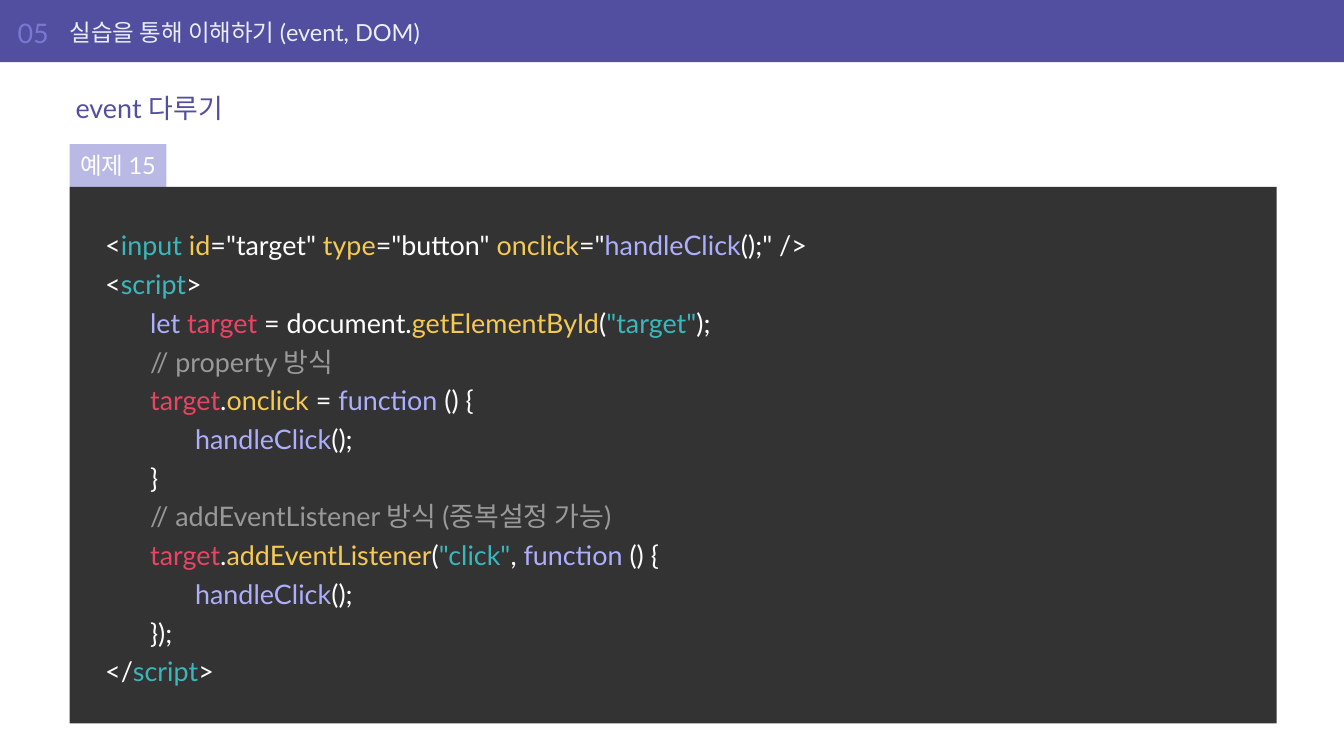
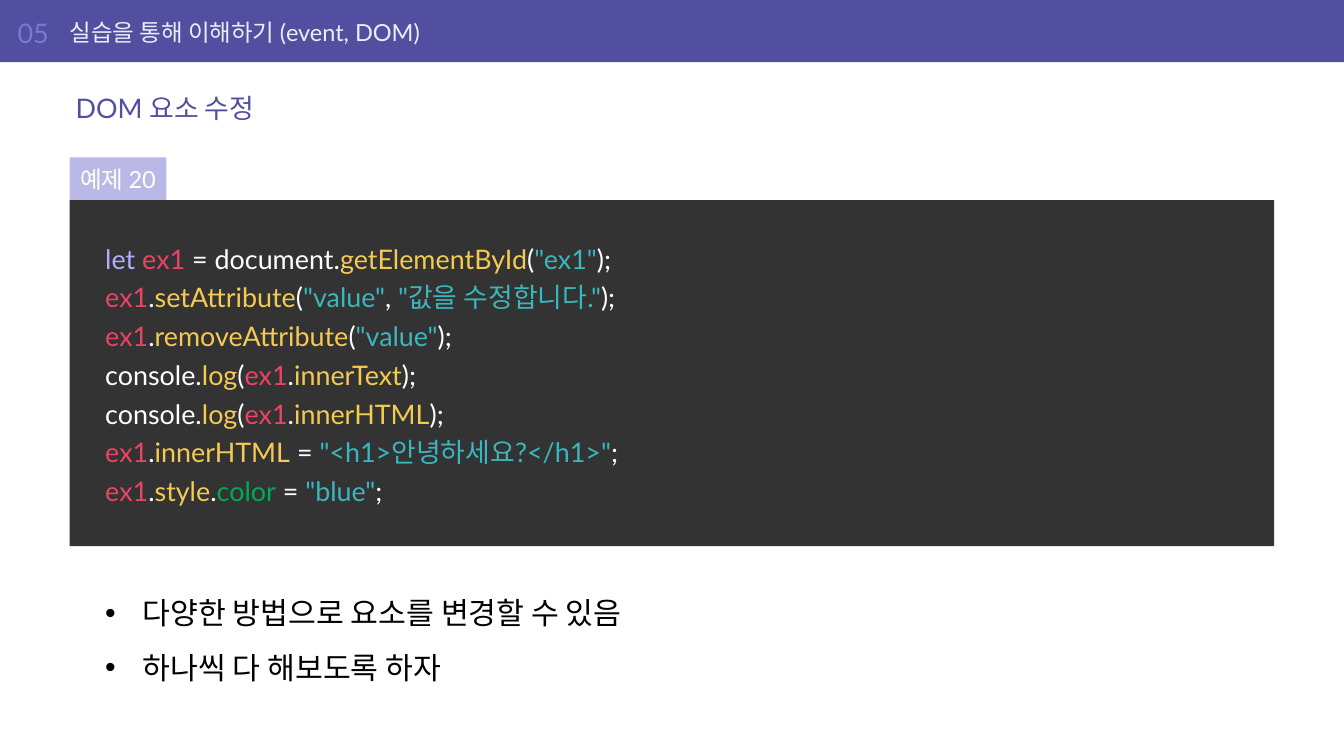
from dataclasses import dataclass
from typing import NamedTuple

import lxml.etree
import pptx
import pptx.dml.color
import pptx.enum.shapes
import pptx.enum.text
import pptx.oxml.ns
import pptx.util

Pt = pptx.util.Pt
Align = pptx.enum.text.PP_ALIGN
Anchor = pptx.enum.text.MSO_ANCHOR

FONT = "Lato"
COLORS = {
    "band": "524FA1",
    "number": "7979D3",
    "section": "ECEEF6",
    "heading": "524FA1",
    "tag": "BAB9E6",
    "code": "333333",
    "plain": "FFFFFF",
    "string": "3AB7BC",
    "member": "F5CA52",
    "keyword": "AEAEFF",
    "variable": "EA4464",
    "comment": "999999",
    "style": "00AB53",
    "bullet": "000000",
}
SLIDE_WIDTH, SLIDE_HEIGHT = 1600, 900
MARGIN = 82.8
TAG_HEIGHT = 51
TAB_STEP = 53.5
BULLET_INDENT = 44.6


class Box(NamedTuple):
    left: float
    top: float
    width: float
    height: float


class Insets(NamedTuple):
    left: float = 7.2
    top: float = 3.6
    right: float = 7.2
    bottom: float = 3.6


class Token(NamedTuple):
    text: str
    role: str = "plain"


@dataclass(frozen=True)
class Lesson:
    heading: str
    example: str
    code_box: Box
    code: list[list[Token]]
    points: tuple[str, ...] = ()


BAND = Box(0, 0, SLIDE_WIDTH, 74)
NUMBER_BOX = Box(21, 10.8, 62, 55.4)
SECTION_BOX = Box(MARGIN, 10.8, 1352, 55.4)
HEADING_BOX = Box(MARGIN, 100.8, 1434, 55.4)
POINTS_BOX = Box(118, 682.6, 1373, 178)
HEADER_INSETS = Insets(left=0)

ELEMENT = Token("script", "string")
CALL = [Token("handleClick", "keyword"), Token("();")]
FUNCTION = [Token("function", "keyword"), Token(" () {")]
TARGET = [Token("target", "variable"), Token(".")]
EX1 = Token("ex1", "variable")
EX1_DOT = [EX1, Token(".")]


def lookup(variable: str) -> list[Token]:
    return [
        Token("let ", "keyword"), Token(variable, "variable"), Token(" = document."),
        Token("getElementById", "member"), Token("("),
        Token(f'"{variable}"', "string"), Token(");"),
    ]


def log(member: str) -> list[Token]:
    return [Token("console."), Token("log", "member"), Token("("), *EX1_DOT,
            Token(member, "member"), Token(");")]


EVENT_CODE = [
    [Token("<"), Token("input ", "string"), Token("id", "member"), Token('="target" '),
     Token("type", "member"), Token('="button" '), Token("onclick", "member"),
     Token('="'), Token("handleClick", "keyword"), Token('();" />')],
    [Token("<"), ELEMENT, Token(">")],
    [Token("\t"), *lookup("target")],
    [Token("\t"), Token("// property 방식", "comment")],
    [Token("\t"), *TARGET, Token("onclick", "member"), Token(" = "), *FUNCTION],
    [Token("\t\t"), *CALL],
    [Token("\t}")],
    [Token("\t"), Token("// addEventListener 방식 (중복설정 가능)", "comment")],
    [Token("\t"), *TARGET, Token("addEventListener", "member"), Token("("),
     Token('"click"', "string"), Token(", "), *FUNCTION],
    [Token("\t\t"), *CALL],
    [Token("\t});")],
    [Token("</"), ELEMENT, Token(">")],
]

DOM_CODE = [
    lookup("ex1"),
    [*EX1_DOT, Token("setAttribute", "member"), Token("("), Token('"value"', "string"),
     Token(", "), Token('"값을 수정합니다."', "string"), Token(");")],
    [*EX1_DOT, Token("removeAttribute", "member"), Token("("),
     Token('"value"', "string"), Token(");")],
    log("innerText"),
    log("innerHTML"),
    [*EX1_DOT, Token("innerHTML", "member"), Token(" = "),
     Token('"<h1>안녕하세요?</h1>"', "string"), Token(";")],
    [*EX1_DOT, Token("style", "member"), Token("."), Token("color", "style"),
     Token(" = "), Token('"blue"', "string"), Token(";")],
]

LESSONS = [
    Lesson("event 다루기", "예제 15", Box(MARGIN, 222.5, 1437, 638.6), EVENT_CODE),
    Lesson("DOM 요소 수정", "예제 20", Box(MARGIN, 238.3, 1434, 411.8), DOM_CODE,
           ("다양한 방법으로 요소를 변경할 수 있음", "하나씩 다 해보도록 하자")),
]


def rgb(role: str) -> pptx.dml.color.RGBColor:
    return pptx.dml.color.RGBColor.from_string(COLORS[role])


def place(shape, box: Box) -> None:
    shape.left, shape.top, shape.width, shape.height = map(Pt, box)


def prepare(frame, insets: Insets, anchor, wrap: bool = True) -> None:
    frame.auto_size = pptx.enum.text.MSO_AUTO_SIZE.NONE
    frame.word_wrap = wrap
    frame.vertical_anchor = anchor
    frame.margin_left, frame.margin_top, frame.margin_right, frame.margin_bottom = map(
        Pt, insets)


def write(paragraph, tokens: list[Token], size: float, align=Align.LEFT) -> None:
    paragraph.alignment = align
    for token in tokens:
        run = paragraph.add_run()
        run.text = token.text
        run.font.name = FONT
        run.font.size = Pt(size)
        run.font.color.rgb = rgb(token.role)


def next_paragraph(frame, index: int):
    return frame.add_paragraph() if index else frame.paragraphs[0]


def add_panel(slide, box: Box, role: str):
    panel = slide.shapes.add_shape(
        pptx.enum.shapes.MSO_SHAPE.RECTANGLE, *map(Pt, box))
    panel.shadow.inherit = False
    panel.fill.solid()
    panel.fill.fore_color.rgb = rgb(role)
    panel.line.fill.background()
    return panel


def add_label(slide, box: Box, label: Token, size: float) -> None:
    frame = slide.shapes.add_textbox(*map(Pt, box)).text_frame
    prepare(frame, HEADER_INSETS, Anchor.MIDDLE)
    write(frame.paragraphs[0], [label], size)


def add_header(slide, heading: str) -> None:
    add_panel(slide, BAND, "band")
    add_label(slide, NUMBER_BOX, Token("05", "number"), 32)
    add_label(slide, SECTION_BOX, Token("실습을 통해 이해하기 (event, DOM)", "section"), 28)
    title = slide.shapes.title
    place(title, HEADING_BOX)
    prepare(title.text_frame, Insets(), Anchor.MIDDLE)
    write(title.text_frame.paragraphs[0], [Token(heading, "heading")], 32)


def add_tab_stops(paragraph) -> None:
    properties = paragraph._p.get_or_add_pPr()
    stops = lxml.etree.SubElement(properties, pptx.oxml.ns.qn("a:tabLst"))
    for level in (1, 2):
        stop = lxml.etree.SubElement(stops, pptx.oxml.ns.qn("a:tab"))
        stop.set("pos", str(int(Pt(TAB_STEP * level))))
        stop.set("algn", "l")


def add_example(slide, lesson: Lesson) -> None:
    tag_box = Box(MARGIN, lesson.code_box.top - TAG_HEIGHT, 115.2, TAG_HEIGHT)
    tag = add_panel(slide, tag_box, "tag").text_frame
    prepare(tag, Insets(7.2, 8.6, 7.2, 8.6), Anchor.MIDDLE, wrap=False)
    write(tag.paragraphs[0], [Token(lesson.example)], 28, Align.CENTER)

    code = add_panel(slide, lesson.code_box, "code").text_frame
    prepare(code, Insets(42.5, 42.5, 42.5, 42.5), Anchor.TOP)
    for index, tokens in enumerate(lesson.code):
        paragraph = next_paragraph(code, index)
        add_tab_stops(paragraph)
        paragraph.line_spacing = 1.2
        write(paragraph, tokens, 32)


def add_points(slide, points: tuple[str, ...]) -> None:
    body = slide.placeholders[1]
    place(body, POINTS_BOX)
    prepare(body.text_frame, Insets(), Anchor.TOP)
    for index, point in enumerate(points):
        paragraph = next_paragraph(body.text_frame, index)
        properties = paragraph._p.get_or_add_pPr()
        properties.set("marL", str(int(Pt(BULLET_INDENT))))
        properties.set("indent", str(-int(Pt(BULLET_INDENT))))
        bullet = lxml.etree.SubElement(properties, pptx.oxml.ns.qn("a:buChar"))
        bullet.set("char", "•")
        paragraph.line_spacing = 1.5
        paragraph.space_before = Pt(0)
        write(paragraph, [Token(point, "bullet")], 36)


def main() -> None:
    deck = pptx.Presentation()
    deck.slide_width, deck.slide_height = Pt(SLIDE_WIDTH), Pt(SLIDE_HEIGHT)
    for lesson in LESSONS:
        layout = "Title and Content" if lesson.points else "Title Only"
        slide = deck.slides.add_slide(deck.slide_layouts.get_by_name(layout))
        add_header(slide, lesson.heading)
        add_example(slide, lesson)
        if lesson.points:
            add_points(slide, lesson.points)
    deck.save("out.pptx")


if __name__ == "__main__":
    main()
